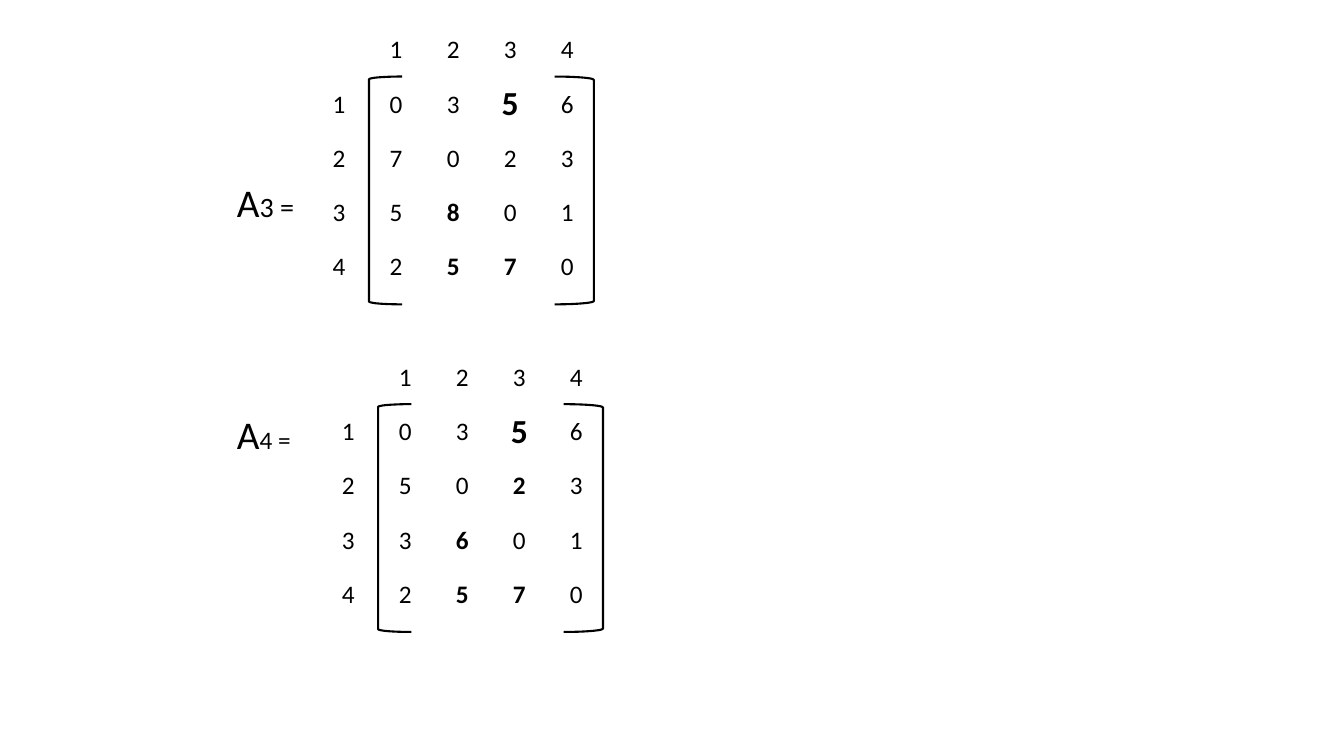
from dataclasses import dataclass

from pptx import Presentation
from pptx.dml.color import RGBColor
from pptx.enum.shapes import MSO_SHAPE
from pptx.enum.text import MSO_ANCHOR, PP_ALIGN
from pptx.shapes.autoshape import Shape
from pptx.slide import Slide
from pptx.util import Emu, Pt

PX = 9144  # 100 px to the inch
FONT = "Calibri"
COLORS = {"ink": "000000"}
LEFT, CENTER = PP_ALIGN.LEFT, PP_ALIGN.CENTER
MIDDLE = MSO_ANCHOR.MIDDLE
OPEN, CLOSE = MSO_SHAPE.LEFT_BRACKET, MSO_SHAPE.RIGHT_BRACKET
BLANK = 6
SIZE = 5  # header plus four values, both ways
WIDTH, HEIGHT = 283, 269
LARGE = (1, 3)


@dataclass(frozen=True)
class Matrix:
    index: str
    size: int
    label: int  # top of the label
    left: int
    top: int
    rows: tuple[str, ...]
    bold: frozenset[tuple[int, int]]


MATRICES = (
    Matrix("3 =", 20, 175, 308, 23, ("0356", "7023", "5801", "2570"),
           frozenset({(1, 3), (3, 2), (4, 2), (4, 3)})),
    Matrix("4 =", 18, 405, 317, 348, ("0356", "5023", "3601", "2570"),
           frozenset({(1, 3), (2, 3), (3, 2), (4, 2), (4, 3)})),
)


def px(value: float) -> Emu:
    return Emu(round(value * PX))


def ink() -> RGBColor:
    return RGBColor.from_string(COLORS["ink"])


def write(para, text: str, *, size: int = 18, bold: bool = False,
          align: PP_ALIGN = CENTER) -> None:
    """Add one formatted run to a paragraph."""
    para.alignment = align
    run = para.add_run()
    run.text = text
    run.font.name = FONT
    run.font.size = Pt(size)
    run.font.bold = bold
    run.font.color.rgb = ink()


def label(slide: Slide, item: Matrix) -> None:
    box = slide.shapes.add_textbox(px(235), px(item.label), px(75), px(50))
    frame = box.text_frame
    frame.word_wrap = True
    frame.vertical_anchor = MIDDLE
    frame.margin_left = frame.margin_right = 0
    frame.margin_top = frame.margin_bottom = 0
    para = frame.paragraphs[0]
    write(para, "A", size=28, align=LEFT)
    write(para, item.index, size=item.size, align=LEFT)


def grid(slide: Slide, item: Matrix) -> None:
    table = slide.shapes.add_table(SIZE, SIZE, px(item.left), px(item.top),
                                   px(WIDTH), px(HEIGHT)).table
    table.first_row = table.horz_banding = False
    for col in table.columns:
        col.width = px(WIDTH / SIZE)
    for row in table.rows:
        row.height = px(HEIGHT / SIZE)
    lines = [" 1234"] + [f"{n}{row}" for n, row in enumerate(item.rows, 1)]
    for r, line in enumerate(lines):
        for c, digit in enumerate(line):
            cell = table.cell(r, c)
            cell.fill.background()
            cell.vertical_anchor = MIDDLE
            if digit != " ":
                write(cell.text_frame.paragraphs[0], digit,
                      size=24 if (r, c) == LARGE else 18,
                      bold=(r, c) in item.bold)


def bracket(slide: Slide, kind: MSO_SHAPE, left: int, top: int,
            width: int) -> Shape:
    shape = slide.shapes.add_shape(kind, px(left), px(top), px(width), px(226))
    shape.shadow.inherit = False
    shape.fill.background()
    shape.line.color.rgb = ink()
    shape.line.width = Pt(1.5)
    return shape


def main() -> None:
    deck = Presentation()
    deck.slide_width, deck.slide_height = px(1333), px(750)
    slide = deck.slides.add_slide(deck.slide_layouts[BLANK])
    for item in MATRICES:
        label(slide, item)
        grid(slide, item)
        bracket(slide, OPEN, item.left + 58, item.top + 53, 33)
        bracket(slide, CLOSE, item.left + 242, item.top + 53, 39)
    deck.save("out.pptx")


if __name__ == "__main__":
    main()
